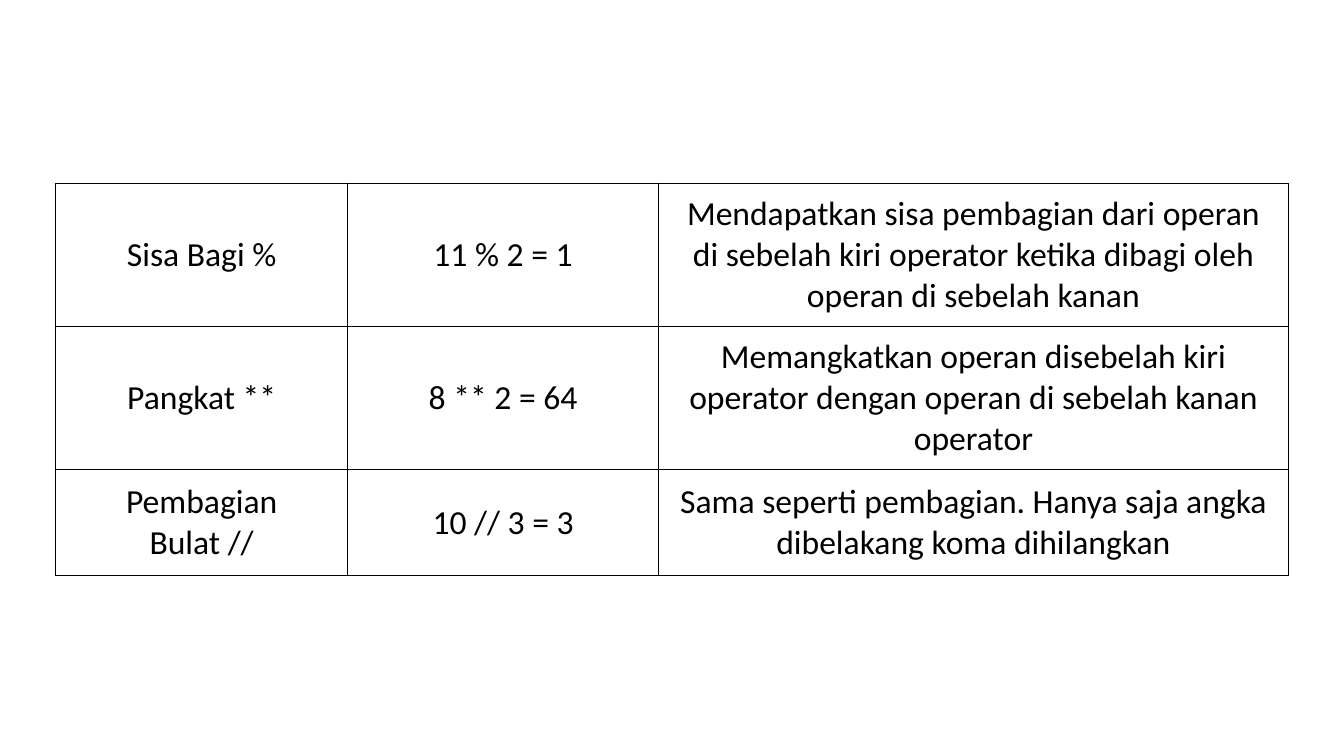
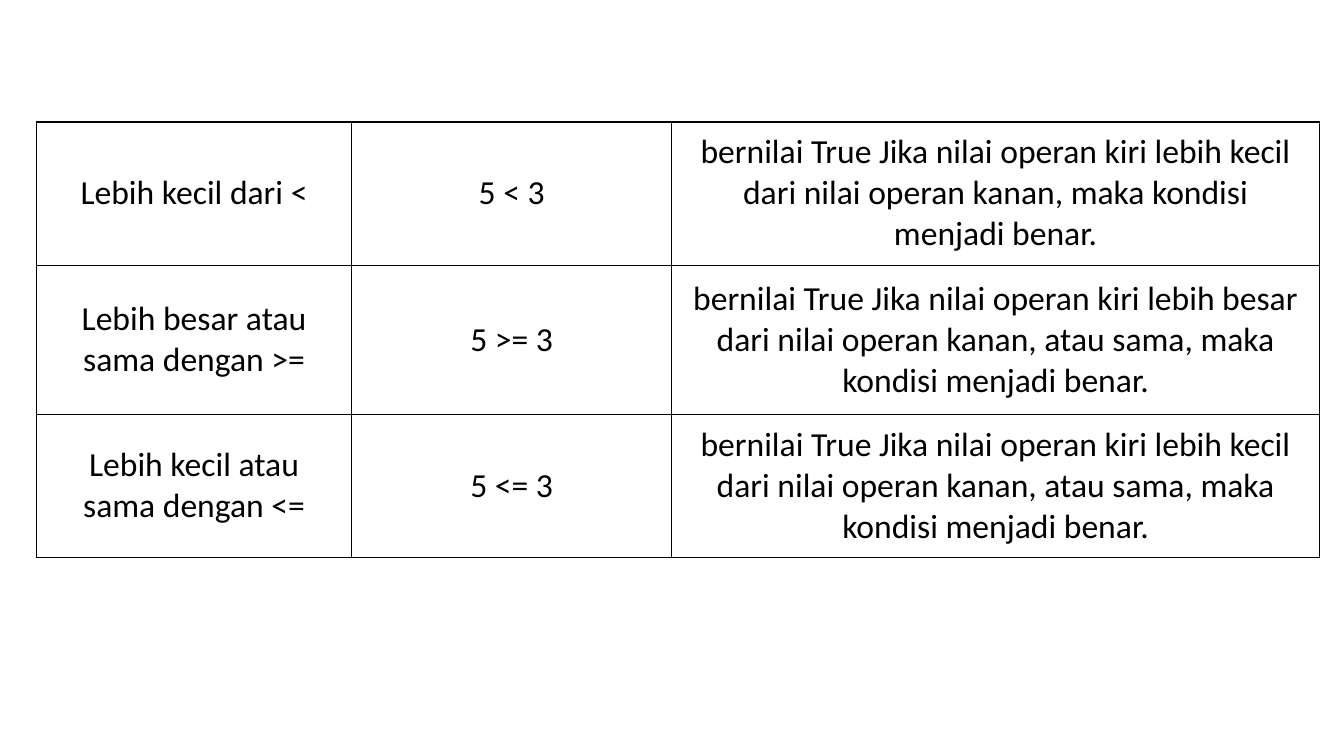
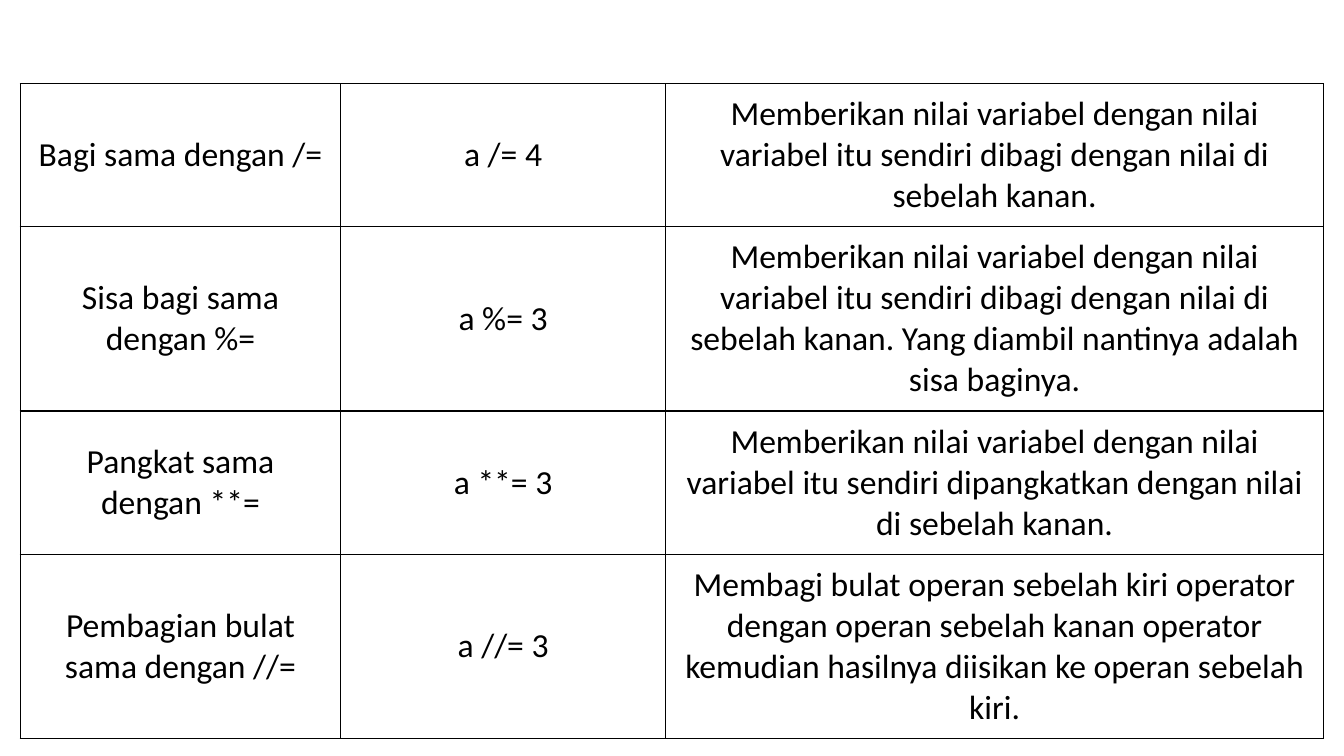
from dataclasses import dataclass

from lxml.etree import SubElement
from pptx import Presentation
from pptx.dml.color import RGBColor
from pptx.enum.text import MSO_ANCHOR as Anchor, PP_ALIGN as Align
from pptx.oxml import parse_xml
from pptx.oxml.ns import nsdecls, qn
from pptx.util import Inches, Pt


@dataclass(frozen=True)
class Theme:
    font: str = "Calibri"
    text_size: int = 24
    text: str = "000000"
    border: str = "000000"
    border_width: int = 1
    background: str = "FFFFFF"
    side_margin: float = 0.16
    end_margin: float = 0.1


THEME = Theme()


def add_borders(cell):
    properties = cell._tc.get_or_add_tcPr()
    for position, side in enumerate(("lnL", "lnR", "lnT", "lnB")):
        line = parse_xml(f'<a:{side} {nsdecls("a")} w="{Pt(THEME.border_width)}"/>')
        fill = SubElement(line, qn("a:solidFill"))
        SubElement(fill, qn("a:srgbClr"), val=THEME.border)
        properties.insert(position, line)


def fill_cell(cell, text):
    cell.fill.solid()
    cell.fill.fore_color.rgb = RGBColor.from_string(THEME.background)
    cell.vertical_anchor = Anchor.MIDDLE
    cell.margin_left = cell.margin_right = Inches(THEME.side_margin)
    cell.margin_top = cell.margin_bottom = Inches(THEME.end_margin)
    add_borders(cell)
    paragraph = cell.text_frame.paragraphs[0]
    paragraph.alignment = Align.CENTER
    run = paragraph.add_run()
    run.text = text
    run.font.name = THEME.font
    run.font.size = Pt(THEME.text_size)
    run.font.color.rgb = RGBColor.from_string(THEME.text)


def add_operator_table(slide, box, column_widths, row_heights, operators):
    frame = slide.shapes.add_table(
        len(row_heights), len(column_widths), *map(Inches, box)
    )
    table = frame.table
    table.first_row = False
    table.horz_banding = False
    for column, width in zip(table.columns, column_widths):
        column.width = Inches(width)
    for row, height, (name, symbol, example, meaning) in zip(
        table.rows, row_heights, operators
    ):
        row.height = Inches(height)
        for cell, text in zip(row.cells, (f"{name}\u00a0{symbol}", example, meaning)):
            fill_cell(cell, text)
    frame.width, frame.height = map(Inches, box[2:])


ARITHMETIC = [
    ("Sisa Bagi", "%", "11 % 2 = 1",
     "Mendapatkan sisa pembagian dari operan di sebelah kiri operator "
     "ketika dibagi oleh operan di sebelah kanan"),
    ("Pangkat", "**", "8 ** 2 = 64",
     "Memangkatkan operan disebelah kiri operator dengan operan "
     "di sebelah kanan operator"),
    ("Pembagian Bulat", "//", "10 // 3 = 3",
     "Sama seperti pembagian. Hanya saja angka dibelakang koma dihilangkan"),
]

COMPARISON = [
    ("Lebih kecil dari", "<", "5 < 3",
     "bernilai True Jika nilai operan kiri lebih kecil dari nilai operan kanan, "
     "maka kondisi menjadi benar."),
    ("Lebih besar atau sama dengan", ">=", "5 >= 3",
     "bernilai True Jika nilai operan kiri lebih besar dari nilai operan kanan, "
     "atau sama, maka kondisi menjadi benar."),
    ("Lebih kecil atau sama dengan", "<=", "5 <= 3",
     "bernilai True Jika nilai operan kiri lebih kecil dari nilai operan kanan, "
     "atau sama, maka kondisi menjadi benar."),
]

ASSIGN = "Memberikan nilai variabel dengan nilai variabel itu sendiri"
ASSIGNMENT = [
    ("Bagi sama dengan", "/=", "a /= 4",
     f"{ASSIGN} dibagi dengan nilai di sebelah kanan."),
    ("Sisa bagi sama dengan", "%=", "a %= 3",
     f"{ASSIGN} dibagi dengan nilai di sebelah kanan. "
     "Yang diambil nantinya adalah sisa baginya."),
    ("Pangkat sama dengan", "**=", "a **= 3",
     f"{ASSIGN} dipangkatkan dengan nilai di sebelah kanan."),
    ("Pembagian bulat sama dengan", "//=", "a //= 3",
     "Membagi bulat operan sebelah kiri operator dengan operan sebelah kanan "
     "operator kemudian hasilnya diisikan ke operan sebelah kiri."),
]

TABLES = [
    ((0.55, 1.82, 12.23, 3.86), (2.9, 3.08, 6.25), (1.41, 1.41, 1.05), ARITHMETIC),
    ((0.36, 1.21, 12.73, 4.3), (3.13, 3.17, 6.43), (1.29, 1.48, 1.32), COMPARISON),
    ((0.2, 0.83, 12.92, 6.43), (3.18, 3.22, 6.53), (0.86, 0.94, 0.97, 0.95), ASSIGNMENT),
]

presentation = Presentation()
presentation.slide_width = Inches(13.33)
presentation.slide_height = Inches(7.5)
blank_layout = presentation.slide_layouts[6]
for box, column_widths, row_heights, operators in TABLES:
    slide = presentation.slides.add_slide(blank_layout)
    add_operator_table(slide, box, column_widths, row_heights, operators)
presentation.save("out.pptx")
